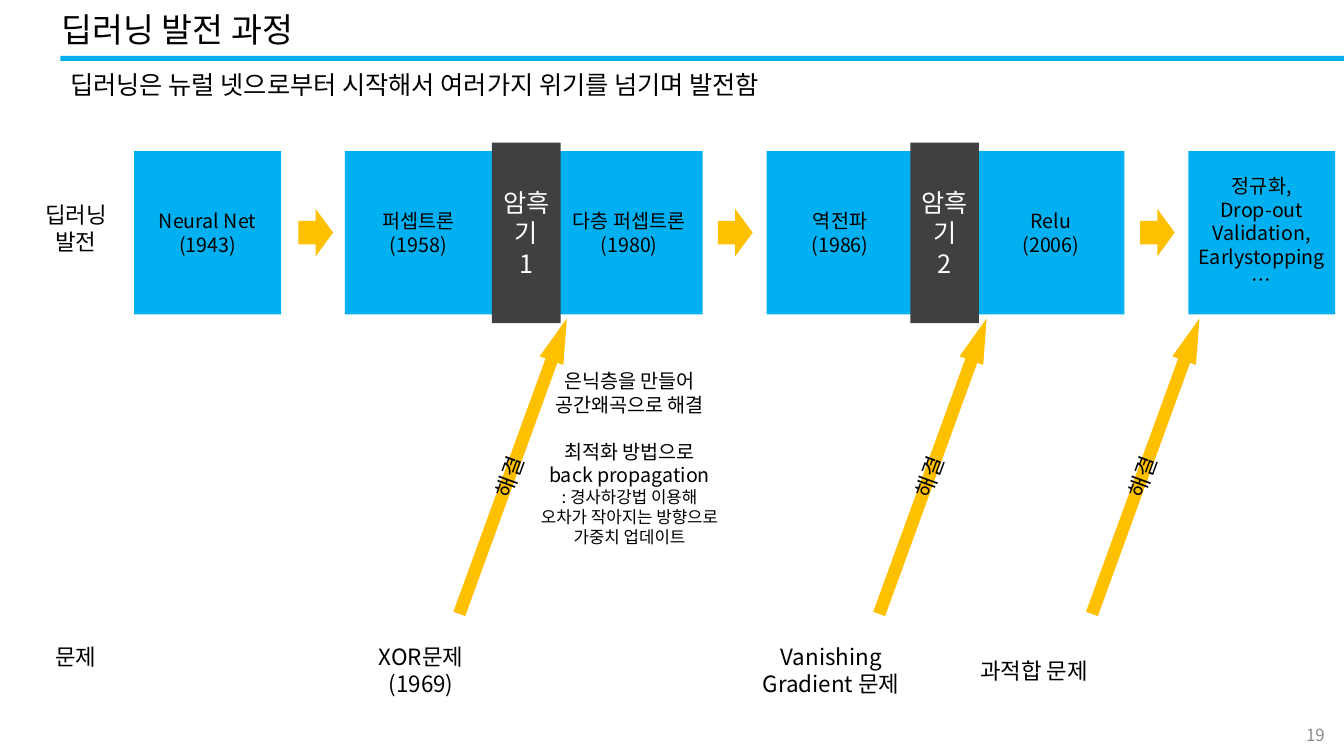
import pptx
import pptx.util
import pptx.oxml.ns
from lxml import etree
from pptx.dml.color import RGBColor
from pptx.enum.shapes import MSO_SHAPE
from pptx.enum.text import MSO_ANCHOR, PP_ALIGN

Pt = pptx.util.Pt
FONT = "Noto Sans CJK KR"
BLUE, AMBER, CHARCOAL = "00B0F0", "FFC000", "404040"
BLACK, WHITE, GRAY = "000000", "FFFFFF", "8C8C8C"
STAGE_WIDTH, STAGE_HEIGHT, STAGE_PITCH = 105, 116.6, 150.6


def color(code):
    return RGBColor.from_string(code)


def write(shape, lines, size=14, ink=BLACK, align=PP_ALIGN.CENTER,
          anchor=MSO_ANCHOR.TOP, sizes=None, gaps=None):
    """Fill a shape with one paragraph per line; sizes and gaps override by line index."""
    frame = shape.text_frame
    frame.word_wrap = True
    frame.vertical_anchor = anchor
    for index, line in enumerate(lines):
        paragraph = frame.paragraphs[0] if index == 0 else frame.add_paragraph()
        paragraph.alignment = align
        if gaps and index in gaps:
            paragraph.space_before = Pt(gaps[index])
        run = paragraph.add_run()
        run.text = line
        run.font.size = Pt((sizes or {}).get(index, size))
        run.font.color.rgb = color(ink)
        run.font.name = FONT
        east_asian = etree.SubElement(run.font._element, pptx.oxml.ns.qn("a:ea"))
        east_asian.set("typeface", FONT)


def add_label(slide, box, lines, **form):
    label = slide.shapes.add_textbox(*map(Pt, box))
    write(label, lines, **form)


def add_block(slide, box, fill, kind=MSO_SHAPE.RECTANGLE, lines=(), **form):
    block = slide.shapes.add_shape(kind, *map(Pt, box))
    block.shadow.inherit = False
    block.fill.solid()
    block.fill.fore_color.rgb = color(fill)
    block.line.fill.background()
    write(block, lines, anchor=MSO_ANCHOR.MIDDLE, **form)
    return block


def add_heading(slide, left, top):
    title = slide.shapes.title
    title.left, title.top, title.width, title.height = map(Pt, (left, top, 831, 36))
    write(title, ["딥러닝 발전 과정"], size=24, align=PP_ALIGN.LEFT)
    add_block(slide, (left + 6.5, top + 37, 917, 3.6), BLUE)
    add_label(slide, (left + 6.5, top + 43.2, 906, 29),
              ["딥러닝은 뉴럴 넷으로부터 시작해서 여러가지 위기를 넘기며 발전함"],
              size=18, align=PP_ALIGN.LEFT)


def add_timeline(slide, left, top):
    stages = [
        ["Neural Net", "(1943)"],
        ["퍼셉트론", "(1958)"],
        ["다층 퍼셉트론", "(1980)"],
        ["역전파", "(1986)"],
        ["Relu", "(2006)"],
        ["정규화,", "Drop-out", "Validation,", "Earlystopping", "…"],
    ]
    for index, stage in enumerate(stages):
        add_block(slide, (left + index * STAGE_PITCH, top, STAGE_WIDTH, STAGE_HEIGHT),
                  BLUE, lines=stage)
    for number, offset in (("1", 255.6), ("2", 554.4)):
        add_block(slide, (left + offset, top - 6.2, 49, 129), CHARCOAL,
                  lines=["암흑기", number], size=18, ink=WHITE)
    for offset in (117.3, 417, 718.5):
        add_block(slide, (left + offset, top + 41.3, 24.8, 33.8), AMBER,
                  MSO_SHAPE.RIGHT_ARROW)


def add_solution_arrows(slide, top):
    for left in (254.2, 554.1, 706.1):
        arrow = add_block(slide, (left, top, 224.6, 18), AMBER, MSO_SHAPE.RIGHT_ARROW,
                          lines=["해결"], size=16)
        arrow.adjustments[0] = 0.5
        arrow.adjustments[1] = 1.78
        arrow.rotation = 290


def add_problems(slide, top):
    add_label(slide, (20, top, 68.4, 27), ["문제"], size=16)
    add_label(slide, (250, top, 101.5, 46), ["XOR문제", "(1969)"], size=16)
    add_label(slide, (529, top, 129.6, 46), ["Vanishing", "Gradient 문제"], size=16)
    add_label(slide, (674, top + 10, 129.6, 27), ["과적합 문제"], size=16)


def add_explanation(slide, box):
    add_label(slide, box, [
        "은닉층을 만들어",
        "공간왜곡으로 해결",
        "최적화 방법으로",
        "back propagation",
        ": 경사하강법 이용해",
        "오차가 작아지는 방향으로 가중치 업데이트",
    ], sizes={4: 12, 5: 12}, gaps={2: 16.8})


def main():
    deck = pptx.Presentation()
    deck.slide_width, deck.slide_height = Pt(960), Pt(540)
    slide = deck.slides.add_slide(deck.slide_layouts[5])
    add_heading(slide, 36.7, 2.9)
    add_label(slide, (20, 140.4, 68.4, 46), ["딥러닝", "발전"], size=16)
    add_timeline(slide, 95.8, 108)
    add_solution_arrows(slide, 324)
    add_explanation(slide, (369.4, 260, 160.6, 135.4))
    add_problems(slide, 455.8)
    add_label(slide, (903, 510.5, 50.4, 28.8), ["19"], size=12, ink=GRAY,
              align=PP_ALIGN.RIGHT, anchor=MSO_ANCHOR.MIDDLE)
    deck.save("out.pptx")


if __name__ == "__main__":
    main()
